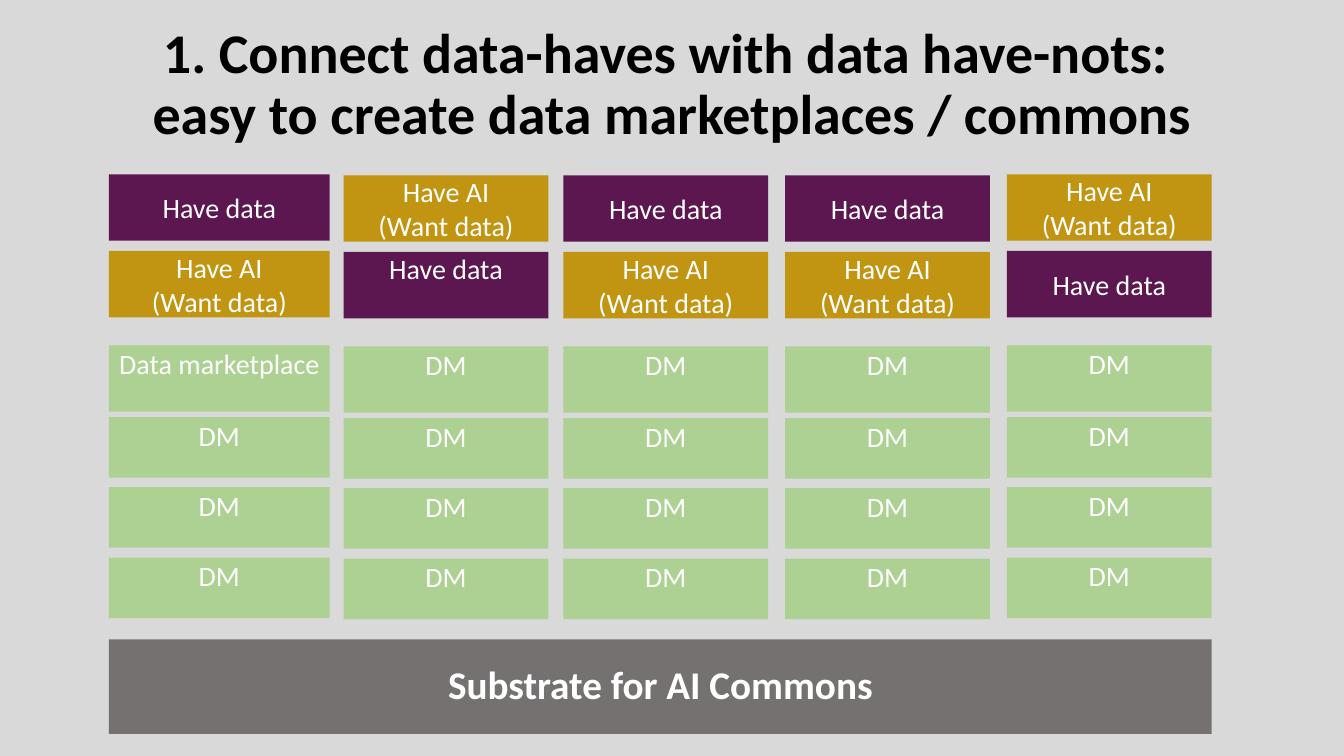
from pptx import Presentation
from pptx import util as u
from pptx.dml.color import RGBColor
from pptx.enum import shapes, text
from pptx.oxml.ns import qn
from lxml import etree

PURPLE, GOLD, GREEN, GREY = "520645", "BF9000", "A9D18E", "767171"
HAVE, WANT = "Have data", "Have AI\n(Want data)"
COLUMNS = [(0, 157.7, 0), (167.7, 146.2, 0.7), (324.7, 146.2, 0.7),
           (483.1, 146.2, 0.7), (641.5, 146.2, 0)]


def rgb(value):
    """Turn a hex string into a colour."""
    return RGBColor.from_string(value)


def format_text(tf, size, color, bold, spacing):
    """Centre every paragraph and give its runs one look."""
    for p in tf.paragraphs:
        p.alignment = text.PP_ALIGN.CENTER
        p.line_spacing = spacing
        for r in p.runs:
            r.font.name = "Calibri"
            r.font.size = u.Pt(size)
            r.font.bold = bold
            r.font.color.rgb = rgb(color)


def add_block(s, box, label, color, size=20, bold=False, spacing=1.0,
              anchor=text.MSO_ANCHOR.MIDDLE, alpha=92):
    """Add a filled, labelled rectangle and return it."""
    sp = s.shapes.add_shape(shapes.MSO_SHAPE.RECTANGLE, *map(u.Pt, box))
    sp.shadow.inherit = False
    sp.line.fill.background()
    sp.fill.solid()
    sp.fill.fore_color.rgb = rgb(color)
    if alpha < 100:
        clr = sp.fill._xPr.find(qn("a:solidFill"))[0]
        etree.SubElement(clr, qn("a:alpha")).set("val", str(alpha * 1000))
    tf = sp.text_frame
    tf.word_wrap = True
    tf.vertical_anchor = anchor
    tf.text = label
    format_text(tf, size, "FFFFFF", bold, spacing)
    return sp


def add_title(s, box):
    """Place and format the slide title."""
    title = s.shapes.title
    title.left, title.top, title.width, title.height = map(u.Pt, box)
    tf = title.text_frame
    tf.word_wrap = True
    tf.auto_size = text.MSO_AUTO_SIZE.NONE
    tf.vertical_anchor = text.MSO_ANCHOR.MIDDLE
    tf.margin_left = tf.margin_right = u.Pt(9.4)
    tf.margin_top = tf.margin_bottom = u.Pt(4.3)
    tf.paragraphs[0].text = ("1. Connect data-haves with data have-nots: \v"
                             "easy to create data marketplaces / commons")
    format_text(tf, 40, "000000", True, 0.9)


def add_participants(s, left, top):
    """Add two rows pairing those who have data with those who want it."""
    for col, (x, width, drop) in enumerate(COLUMNS):
        data_row = 0 if col in (0, 2, 3) else 1
        for row in range(2):
            box = left + x, top + drop + row * 54.7, width, 47.4
            label, color = (HAVE, PURPLE) if row == data_row else (WANT, GOLD)
            sp = add_block(s, box, label, color)
            if (row, col) == (1, 1):
                sp.text_frame.vertical_anchor = text.MSO_ANCHOR.TOP
                sp.text_frame.margin_top = 0


def add_marketplaces(s, left, top):
    """Add the four rows of data marketplaces."""
    rows = [(0, 47.4), (51.3, 43.2), (101.3, 43.2), (151.7, 43.2)]
    for row, (y, height) in enumerate(rows):
        for col, (x, width, drop) in enumerate(COLUMNS):
            label = "Data marketplace" if row == col == 0 else "DM"
            add_block(s, (left + x, top + drop + y, width, height), label, GREEN,
                      spacing=0.9, anchor=text.MSO_ANCHOR.TOP)


def main():
    """Build the slide and save it."""
    prs = Presentation()
    prs.slide_width, prs.slide_height = u.Pt(960), u.Pt(540)
    s = prs.slides.add_slide(prs.slide_layouts[5])
    s.background.fill.solid()
    s.background.fill.fore_color.rgb = rgb("D9D9D9")
    left = 77.8
    add_title(s, (15.8, 39.6, 928.1, 43.2))
    add_participants(s, left, 124.6)
    add_marketplaces(s, left, 246.7)
    add_block(s, (left, 456.8, 787.7, 67.4), "Substrate for AI Commons", GREY,
              size=28, bold=True, spacing=0.9, alpha=100)
    prs.save("out.pptx")


if __name__ == "__main__":
    main()
